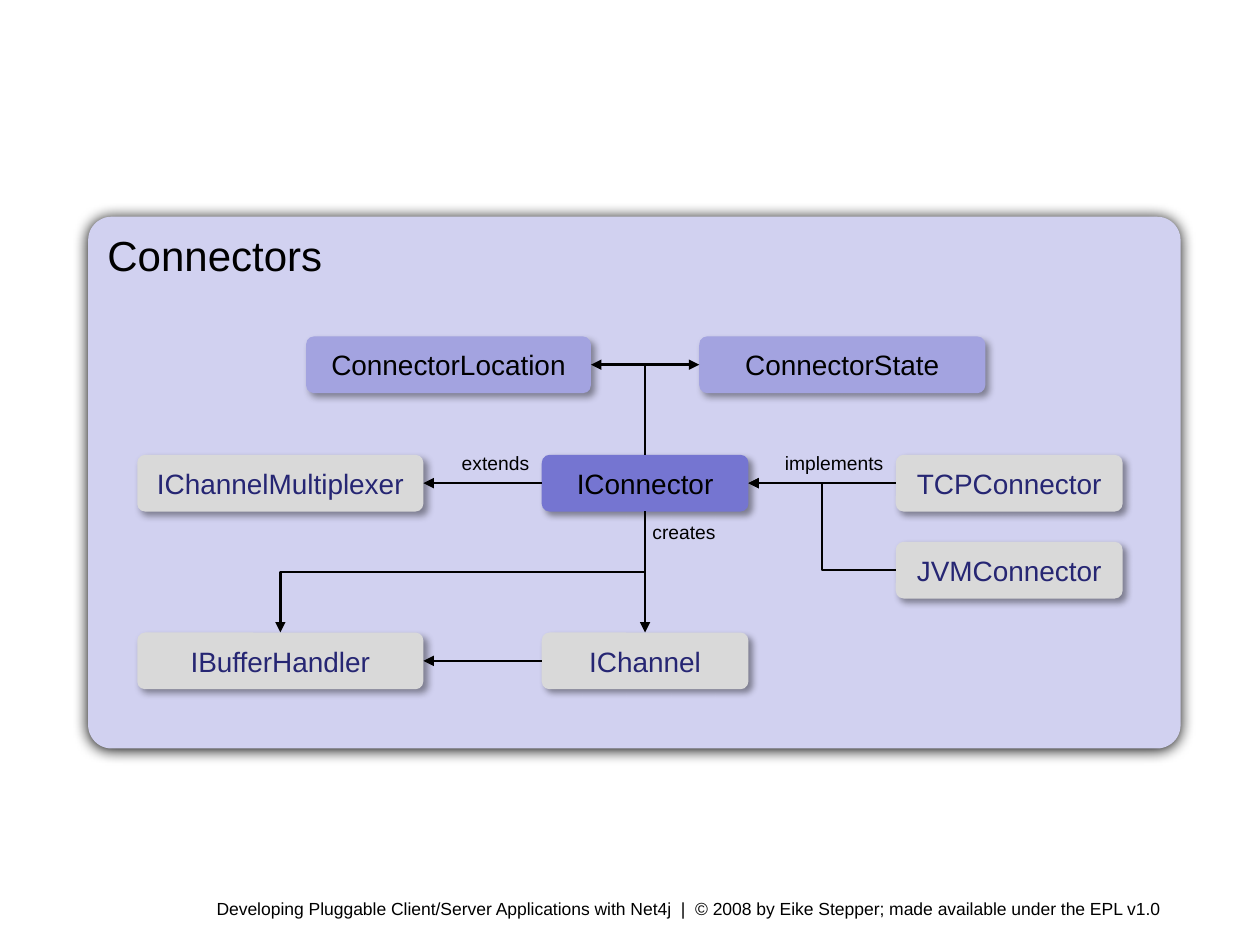
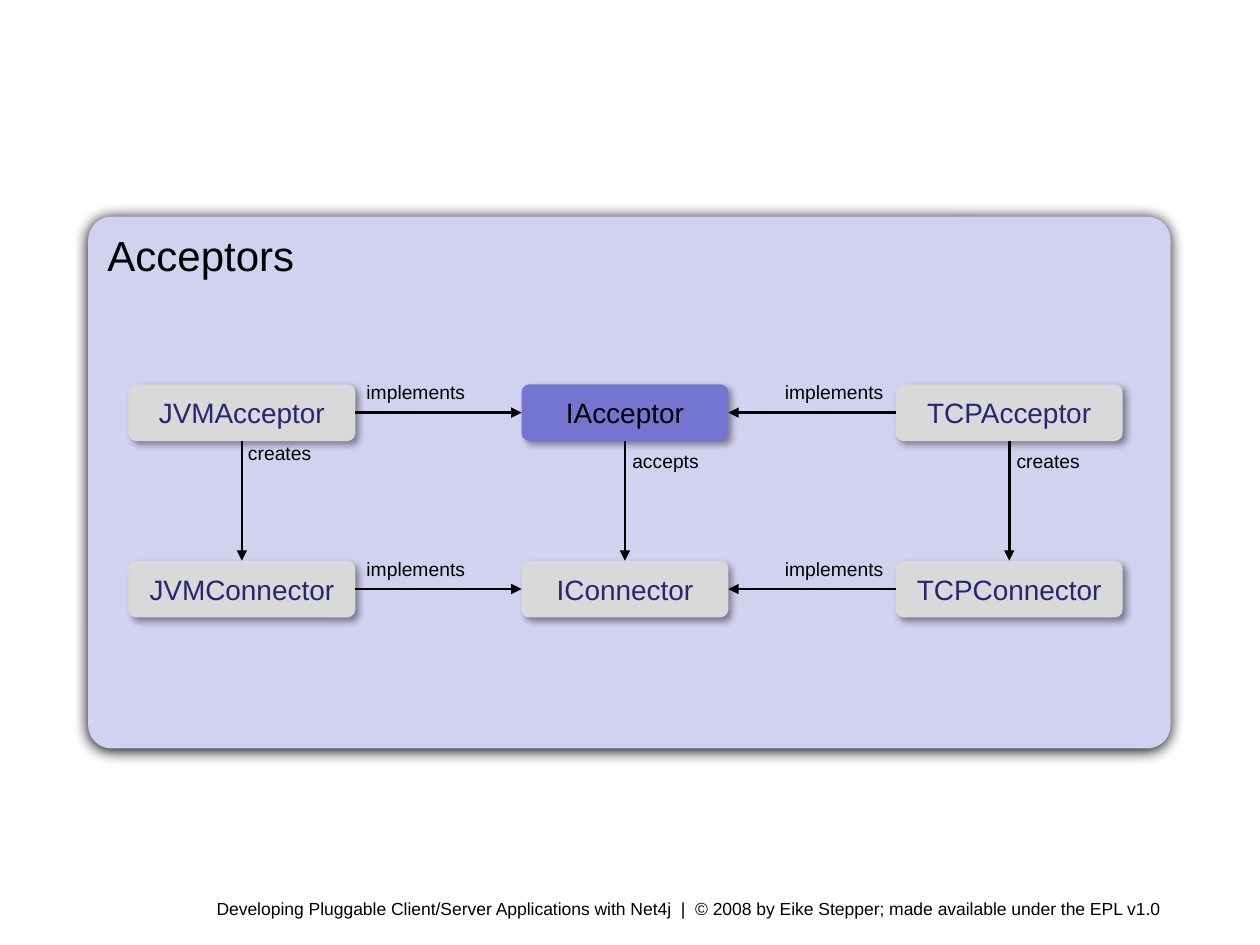
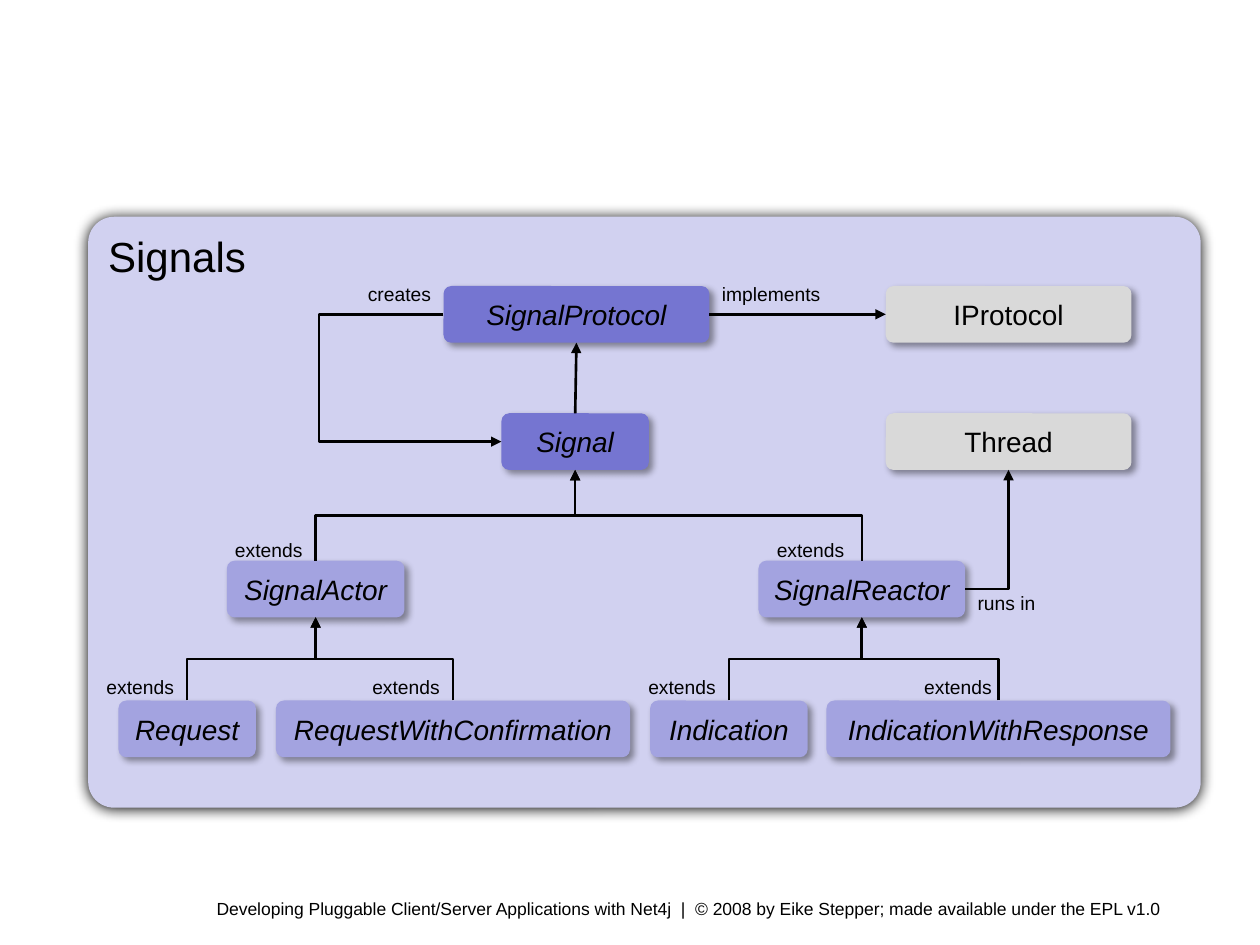
import pptx
import pptx.dml.color
import pptx.enum.shapes
import pptx.enum.text
import pptx.oxml
import pptx.oxml.ns
import pptx.util
from pptx.util import Inches

FONT = "Arial"
BLACK = "000000"
NAVY = "262673"
PANEL = "D1D1F0"
STRONG = "7575D1"
MEDIUM = "A3A3E0"
GRAY = "D9D9D9"
PANEL_LEFT, PANEL_TOP = 0.7, 1.72
NODE_HEIGHT = 0.45
LABEL_HEIGHT = 0.29
LABEL_RISE = 0.08
TOP, LEFT, BOTTOM, RIGHT = range(4)
FOOTER = (
    "Developing Pluggable Client/Server Applications with Net4j  |  "
    "© 2008 by Eike Stepper; made available under the EPL v1.0"
)
ALIGNMENT = pptx.enum.text.PP_ALIGN
ANCHOR = pptx.enum.text.MSO_ANCHOR
CONNECTOR = pptx.enum.shapes.MSO_CONNECTOR


def color(value):
    return pptx.dml.color.RGBColor.from_string(value)


def add_xml(parent, tag, **attributes):
    element = pptx.oxml.ns.qn(tag)
    child = parent.makeelement(element, attributes)
    parent.append(child)
    return child


def write(shape, text, size=16, ink=BLACK, italic=None, align=ALIGNMENT.LEFT, anchor=ANCHOR.TOP):
    frame = shape.text_frame
    frame.word_wrap = True
    frame.vertical_anchor = anchor
    paragraph = frame.paragraphs[0]
    paragraph.alignment = align
    run = paragraph.add_run()
    run.text = text
    run.font.name = FONT
    run.font.size = pptx.util.Pt(size)
    run.font.italic = italic
    run.font.color.rgb = color(ink)


def add_shadow(shape, alpha, blur, distance, angle):
    shape.shadow.inherit = False
    effects = shape._element.spPr.find(pptx.oxml.ns.qn("a:effectLst"))
    shadow = add_xml(
        effects, "a:outerShdw",
        blurRad=str(pptx.util.Pt(blur)), dist=str(pptx.util.Pt(distance)),
        dir=str(angle * 60000), algn="ctr", rotWithShape="0",
    )
    tone = add_xml(shadow, "a:srgbClr", val=BLACK)
    add_xml(tone, "a:alpha", val=str(alpha * 1000))


def add_rounded(slide, left, top, width, height, fill, rounding):
    shape = slide.shapes.add_shape(
        pptx.enum.shapes.MSO_SHAPE.ROUNDED_RECTANGLE,
        Inches(left), Inches(top), Inches(width), Inches(height),
    )
    shape.adjustments[0] = rounding
    shape.fill.solid()
    shape.fill.fore_color.rgb = color(fill)
    shape.line.fill.background()
    return shape


def add_text(slide, text, left, top, width, height, **text_format):
    box = slide.shapes.add_textbox(Inches(left), Inches(top), Inches(width), Inches(height))
    write(box, text, **text_format)


def side_point(shape, side):
    middle_x = shape.left + shape.width // 2
    middle_y = shape.top + shape.height // 2
    return (
        (middle_x, shape.top),
        (shape.left, middle_y),
        (middle_x, shape.top + shape.height),
        (shape.left + shape.width, middle_y),
    )[side]


def add_arrow(slide, kind, source, source_side, target, target_side):
    arrow = slide.shapes.add_connector(
        kind, *side_point(source, source_side), *side_point(target, target_side)
    )
    arrow.begin_connect(source, source_side)
    arrow.end_connect(target, target_side)
    arrow.line.color.rgb = color(BLACK)
    arrow.line.width = pptx.util.Pt(1.5)
    add_xml(arrow.line._get_or_add_ln(), "a:tailEnd", type="triangle")
    add_xml(arrow._element.spPr, "a:effectLst")
    return arrow


def straight(slide, source, source_side, target, target_side):
    add_arrow(slide, CONNECTOR.STRAIGHT, source, source_side, target, target_side)


def elbow(slide, source, source_side, target, target_side, bend=0.5):
    arrow = add_arrow(slide, CONNECTOR.ELBOW, source, source_side, target, target_side)
    properties = arrow._element.spPr
    geometry = properties.find(pptx.oxml.ns.qn("a:prstGeom"))
    source_vertical = source_side in (TOP, BOTTOM)
    if source_vertical != (target_side in (TOP, BOTTOM)):
        geometry.set("prst", "bentConnector2")
    elif bend != 0.5:
        guides = geometry.find(pptx.oxml.ns.qn("a:avLst"))
        add_xml(guides, "a:gd", name="adj1", fmla=f"val {round(bend * 100000)}")
    if source_vertical:
        start_x, start_y = side_point(source, source_side)
        end_x, end_y = side_point(target, target_side)
        across, down = end_x - start_x, end_y - start_y
        turn = -1 if across < 0 and down < 0 else 1
        local_x, local_y = turn * down, -turn * across
        arrow.begin_x = (start_x + end_x - local_x) // 2
        arrow.begin_y = (start_y + end_y - local_y) // 2
        arrow.end_x = arrow.begin_x + local_x
        arrow.end_y = arrow.begin_y + local_y
        properties.find(pptx.oxml.ns.qn("a:xfrm")).set("rot", str(turn * 90 % 360 * 60000))


class Panel:
    def __init__(self, presentation, title, width, height):
        self.slide = presentation.slides.add_slide(presentation.slide_layouts[6])
        add_text(self.slide, FOOTER, 1.62, 7.08, 8.38, 0.27, size=10)
        shape = add_rounded(self.slide, PANEL_LEFT, PANEL_TOP, width, height, PANEL, 0.044)
        add_shadow(shape, alpha=100, blur=8.5, distance=1, angle=90)
        write(shape, title, size=24)

    def node(self, text, left, top, width, fill=GRAY, ink=BLACK, italic=None):
        shape = add_rounded(
            self.slide, PANEL_LEFT + left, PANEL_TOP + top, width, NODE_HEIGHT, fill, 0.138
        )
        add_shadow(shape, alpha=40, blur=4, distance=3, angle=45)
        write(shape, text, ink=ink, italic=italic, align=ALIGNMENT.CENTER, anchor=ANCHOR.MIDDLE)
        return shape

    def label(self, text, left, top, width, align=ALIGNMENT.LEFT):
        add_text(
            self.slide, text, PANEL_LEFT + left, PANEL_TOP + top, width, LABEL_HEIGHT,
            size=11, align=align,
        )


def connectors_slide(presentation):
    panel = Panel(presentation, "Connectors", 8.67, 4.22)
    slide = panel.slide
    enum_row, main_row, second_row, channel_row = 0.95, 1.89, 2.58, 3.3
    left, center, right = 0.39, 3.6, 6.41
    state = panel.node("ConnectorState", 4.85, enum_row, 2.27, MEDIUM)
    location = panel.node("ConnectorLocation", 1.73, enum_row, 2.26, MEDIUM)
    connector = panel.node("IConnector", center, main_row, 1.64, STRONG)
    multiplexer = panel.node("IChannelMultiplexer", left, main_row, 2.27, ink=NAVY)
    tcp = panel.node("TCPConnector", right, main_row, 1.8, ink=NAVY)
    jvm = panel.node("JVMConnector", right, second_row, 1.8, ink=NAVY)
    handler = panel.node("IBufferHandler", left, channel_row, 2.27, ink=NAVY)
    channel = panel.node("IChannel", center, channel_row, 1.64, ink=NAVY)

    elbow(slide, connector, TOP, state, LEFT)
    elbow(slide, connector, TOP, location, RIGHT)
    elbow(slide, connector, BOTTOM, handler, TOP)
    elbow(slide, jvm, LEFT, connector, RIGHT)
    straight(slide, tcp, LEFT, connector, RIGHT)
    straight(slide, connector, LEFT, multiplexer, RIGHT)
    straight(slide, connector, BOTTOM, channel, TOP)
    straight(slide, channel, LEFT, handler, RIGHT)

    panel.label("implements", 5.32, main_row - LABEL_RISE, 1.09, ALIGNMENT.RIGHT)
    panel.label("extends", 2.27, main_row - LABEL_RISE, 1.33, ALIGNMENT.RIGHT)
    panel.label("creates", 4.38, 2.36, 0.94)


def acceptors_slide(presentation):
    panel = Panel(presentation, "Acceptors", 8.59, 4.22)
    slide = panel.slide
    columns = (("JVM", 0.32, 1.8), ("I", 3.44, 1.64), ("TCP", 6.41, 1.8))
    rows = (("Acceptor", 1.33), ("Connector", 2.73))
    grid = []
    for suffix, top in rows:
        nodes = []
        for prefix, left, width in columns:
            main = prefix + suffix == "IAcceptor"
            fill, ink = (STRONG, BLACK) if main else (GRAY, NAVY)
            nodes.append(panel.node(prefix + suffix, left, top, width, fill, ink))
        jvm, interface, tcp = nodes
        straight(slide, jvm, RIGHT, interface, LEFT)
        straight(slide, tcp, LEFT, interface, RIGHT)
        panel.label("implements", 2.11, top - LABEL_RISE, 1.09)
        panel.label("implements", 5.32, top - LABEL_RISE, 1.09, ALIGNMENT.RIGHT)
        grid.append(nodes)
    for acceptor, connector in zip(*grid):
        straight(slide, acceptor, BOTTOM, connector, TOP)
    for text, left, top in (("creates", 1.17, 1.73), ("accepts", 4.22, 1.8), ("creates", 7.27, 1.8)):
        panel.label(text, left, top, 0.94)


def signals_slide(presentation):
    panel = Panel(presentation, "Signals", 8.83, 4.69)
    slide = panel.slide
    protocol_row, signal_row, role_row, leaf_row = 0.55, 1.56, 2.73, 3.84
    protocol = panel.node("SignalProtocol", 2.82, protocol_row, 2.11, STRONG, italic=True)
    signal = panel.node("Signal", 3.28, signal_row, 1.17, STRONG, italic=True)
    interface = panel.node("IProtocol", 6.33, protocol_row, 1.95)
    thread = panel.node("Thread", 6.33, signal_row, 1.95)
    actor = panel.node("SignalActor", 1.1, role_row, 1.41, MEDIUM, italic=True)
    reactor = panel.node("SignalReactor", 5.32, role_row, 1.64, MEDIUM, italic=True)
    leaves = (
        ("Request", 0.24, 1.09, actor),
        ("RequestWithConfirmation", 1.49, 2.81, actor),
        ("Indication", 4.46, 1.25, reactor),
        ("IndicationWithResponse", 5.86, 2.73, reactor),
    )
    for text, left, width, parent in leaves:
        leaf = panel.node(text, left, leaf_row, width, MEDIUM, italic=True)
        elbow(slide, leaf, TOP, parent, BOTTOM)
    elbow(slide, actor, TOP, signal, BOTTOM)
    elbow(slide, reactor, TOP, signal, BOTTOM)
    elbow(slide, protocol, LEFT, signal, LEFT, bend=-2.15)
    elbow(slide, reactor, RIGHT, thread, BOTTOM)
    straight(slide, protocol, RIGHT, interface, LEFT)
    straight(slide, signal, TOP, protocol, BOTTOM)

    panel.label("implements", 4.93, protocol_row - LABEL_RISE, 1.02)
    panel.label("creates", 1.8, protocol_row - LABEL_RISE, 1.02, ALIGNMENT.RIGHT)
    panel.label("runs in", 6.96, 2.92, 1.41)
    for left, width in ((0.78, 1.02), (5.32, 0.78)):
        panel.label("extends", left, 2.5, width, ALIGNMENT.RIGHT)
    for left in (0, 2.11, 4.3, 6.49):
        panel.label("extends", left, 3.59, 0.78, ALIGNMENT.RIGHT)


def main():
    presentation = pptx.Presentation()
    presentation.slide_width = Inches(10)
    presentation.slide_height = Inches(7.5)
    connectors_slide(presentation)
    acceptors_slide(presentation)
    signals_slide(presentation)
    presentation.save("out.pptx")


if __name__ == "__main__":
    main()
